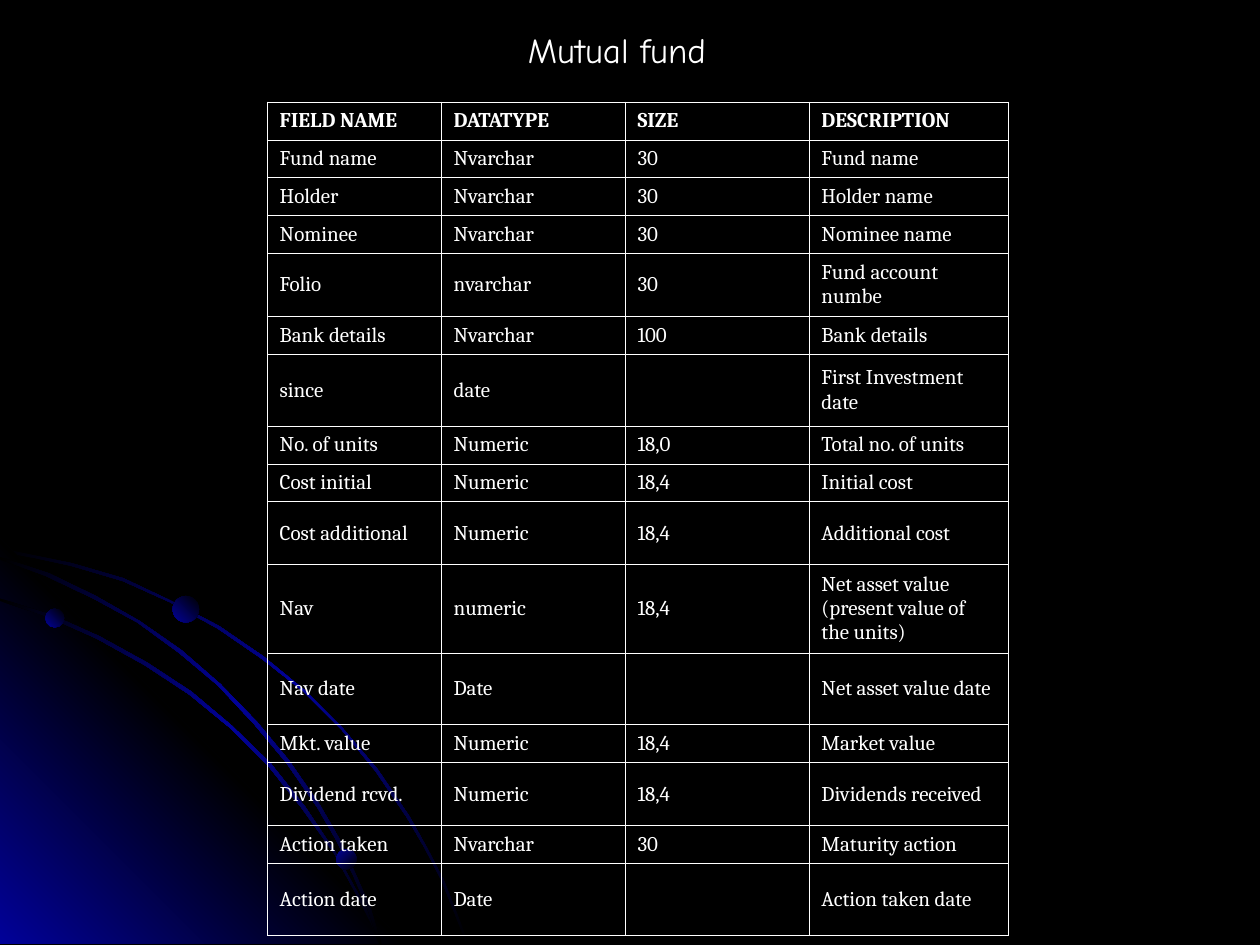
from copy import deepcopy

from pptx import Presentation
from pptx.dml.color import RGBColor
from pptx.enum.shapes import MSO_SHAPE
from pptx.enum.text import MSO_ANCHOR, MSO_AUTO_SIZE
from pptx.oxml import parse_xml
from pptx.oxml.ns import nsdecls
from pptx.util import Inches, Pt

BLACK = RGBColor(0x00, 0x00, 0x00)
BLUE = RGBColor(0x01, 0x01, 0x99)
WHITE = RGBColor(0xFF, 0xFF, 0xFF)
MIDDLE = MSO_ANCHOR.MIDDLE
FIT_SHAPE = MSO_AUTO_SIZE.SHAPE_TO_FIT_TEXT
ELLIPSE = MSO_SHAPE.OVAL

OUTER_ARC = [
    (0.57, 4.47), (0.28, 4.41), (0, 4.35), (0, 4.38), (0.28, 4.43), (0.56, 4.49),
    (0.97, 4.61), (1.35, 4.78), (1.73, 4.99), (2.08, 5.23), (2.41, 5.49),
    (2.71, 5.79), (2.98, 6.12), (3.23, 6.49), (3.37, 6.73), (3.5, 6.98),
    (3.6, 7.23), (3.7, 7.49), (3.72, 7.49), (3.62, 7.23), (3.52, 6.98),
    (3.39, 6.73), (3.25, 6.48), (3, 6.11), (2.72, 5.78), (2.42, 5.48),
    (2.09, 5.21), (1.74, 4.97), (1.36, 4.77), (0.98, 4.59),
]
CORNER = [(3.22, 7.49), (0, 7.49), (0, 4.27)]
INNER_ARC = [
    (2.85, 7.14), (2.94, 7.32), (3.01, 7.49), (3.03, 7.49), (2.96, 7.3),
    (2.86, 7.12), (2.66, 6.76), (2.42, 6.4), (2.15, 6.06), (1.84, 5.76),
    (1.52, 5.49), (1.17, 5.26), (0.79, 5.05), (0.41, 4.88), (0, 4.75), (0, 4.77),
    (0.39, 4.9), (0.77, 5.07), (1.15, 5.28), (1.5, 5.51), (1.83, 5.78),
    (2.13, 6.08), (2.4, 6.42), (2.65, 6.77),
]
MIDDLE_ARC = [
    (0, 4.42), (0, 4.44), (0.36, 4.57), (0.74, 4.75), (1.09, 4.94), (1.42, 5.18),
    (1.73, 5.44), (2.02, 5.75), (2.27, 6.05), (2.52, 6.41), (2.67, 6.67),
    (2.8, 6.94), (2.92, 7.22), (3.01, 7.49), (3.03, 7.49), (2.94, 7.2),
    (2.82, 6.93), (2.69, 6.65), (2.54, 6.39), (2.29, 6.03), (2.04, 5.73),
    (1.75, 5.43), (1.44, 5.16), (1.11, 4.93), (0.76, 4.73), (0.39, 4.55),
]

# Row height, then the four cells
FIELDS = [
    (0.3, "FIELD NAME", "DATATYPE", "SIZE", "DESCRIPTION"),
    (0.3, "Fund name", "Nvarchar", "30", "Fund name"),
    (0.3, "Holder", "Nvarchar", "30", "Holder name"),
    (0.3, "Nominee", "Nvarchar", "30", "Nominee name"),
    (0.5, "Folio", "nvarchar", "30", "Fund account numbe"),
    (0.3, "Bank details", "Nvarchar", "100", "Bank details"),
    (0.57, "since", "date", "", "First Investment date"),
    (0.3, "No. of units", "Numeric", "18,0", "Total no. of units"),
    (0.3, "Cost initial", "Numeric", "18,4", "Initial cost"),
    (0.5, "Cost additional", "Numeric", "18,4", "Additional cost"),
    (0.7, "Nav", "numeric", "18,4", "Net asset value (present value of the units)"),
    (0.57, "Nav date", "Date", "", "Net asset value date"),
    (0.3, "Mkt. value", "Numeric", "18,4", "Market value"),
    (0.5, "Dividend rcvd.", "Numeric", "18,4", "Dividends received"),
    (0.3, "Action taken", "Nvarchar", "30", "Maturity action"),
    (0.57, "Action date", "Date", "", "Action taken date"),
]
COLUMN_WIDTHS = [1.38, 1.46, 1.46, 1.58]
SPACED_CELLS = {(4, 1), (4, 2), (4, 3), (6, 1), (10, 1), (10, 2), (10, 3), (11, 3)}


def paint_gradient(s, colors, angle):
    """Spread the colours evenly; the angle is clockwise, in degrees."""
    s.shadow.inherit = False
    s.line.fill.background()
    s.fill.gradient()
    s.fill.gradient_angle = 360 - angle
    stops = s.element.xpath(".//a:gsLst")[0]
    for _ in colors[2:]:
        stops.append(deepcopy(stops[0]))
    for i, (stop, color) in enumerate(zip(s.fill.gradient_stops, colors)):
        stop.color.rgb = color
        stop.position = i / (len(colors) - 1)


def style_run(r, **font):
    for name, value in font.items():
        setattr(r.font, name, value)
    r.font.color.rgb = WHITE


prs = Presentation()
prs.slide_width, prs.slide_height = Inches(10), Inches(7.5)
slide = prs.slides.add_slide(prs.slide_layouts[6])
slide.background.fill.solid()
slide.background.fill.fore_color.rgb = BLACK

# Glowing corner and arcs
for outline, colors, angle in [
    (OUTER_ARC, (BLACK, BLUE, BLACK), 225),
    (CORNER, (BLUE, BLACK, BLUE), 135),
    (INNER_ARC, (BLACK, BLUE, BLACK), 225),
    (MIDDLE_ARC, (BLACK, BLUE, BLACK), 225),
]:
    points = [(Inches(x), Inches(y)) for x, y in outline]
    builder = slide.shapes.build_freeform(*points[0])
    builder.add_line_segments(points[1:], close=True)
    paint_gradient(builder.convert_to_shape(), colors, angle)

# Beads on the arcs
for left, top, size, angle in [
    (0.36, 4.83, 0.15, 135),
    (2.67, 6.74, 0.16, 225),
    (1.37, 4.73, 0.21, 135),
]:
    s = slide.shapes.add_shape(
        ELLIPSE, Inches(left), Inches(top), Inches(size), Inches(size))
    paint_gradient(s, (BLACK, BLUE), angle)

# Title
tf = slide.shapes.add_textbox(
    Inches(4.09), Inches(0.17), Inches(1.88), Inches(0.44)).text_frame
tf.word_wrap = False
tf.auto_size = FIT_SHAPE
tf.vertical_anchor = MIDDLE
r = tf.paragraphs[0].add_run()
r.text = "Mutual fund"
style_run(r, name="Comic Neue", size=Pt(20))

# Field table
table = slide.shapes.add_table(
    len(FIELDS), len(COLUMN_WIDTHS), Inches(2.12), Inches(0.81),
    Inches(sum(COLUMN_WIDTHS)), Inches(sum(f[0] for f in FIELDS))).table
table.first_row = table.horz_banding = False
for column, width in zip(table.columns, COLUMN_WIDTHS):
    column.width = Inches(width)
for row, (height, *texts) in enumerate(FIELDS):
    table.rows[row].height = Inches(height)
    for col, text in enumerate(texts):
        cell = table.cell(row, col)
        cell.vertical_anchor = MIDDLE
        cell.fill.background()
        tc_pr = cell._tc.get_or_add_tcPr()
        for i, side in enumerate("LRTB"):
            tc_pr.insert(i, parse_xml(
                f'<a:ln{side} {nsdecls("a")} w="{Pt(0.45)}"><a:solidFill>'
                f'<a:srgbClr val="{WHITE}"/></a:solidFill></a:ln{side}>'))
        if text:
            p = cell.text_frame.paragraphs[0]
            if (row, col) in SPACED_CELLS:
                p.space_before = Pt(3)
            r = p.add_run()
            r.text = text
            style_run(r, name="Cambria", size=Pt(12), bold=row == 0)

prs.save("out.pptx")
